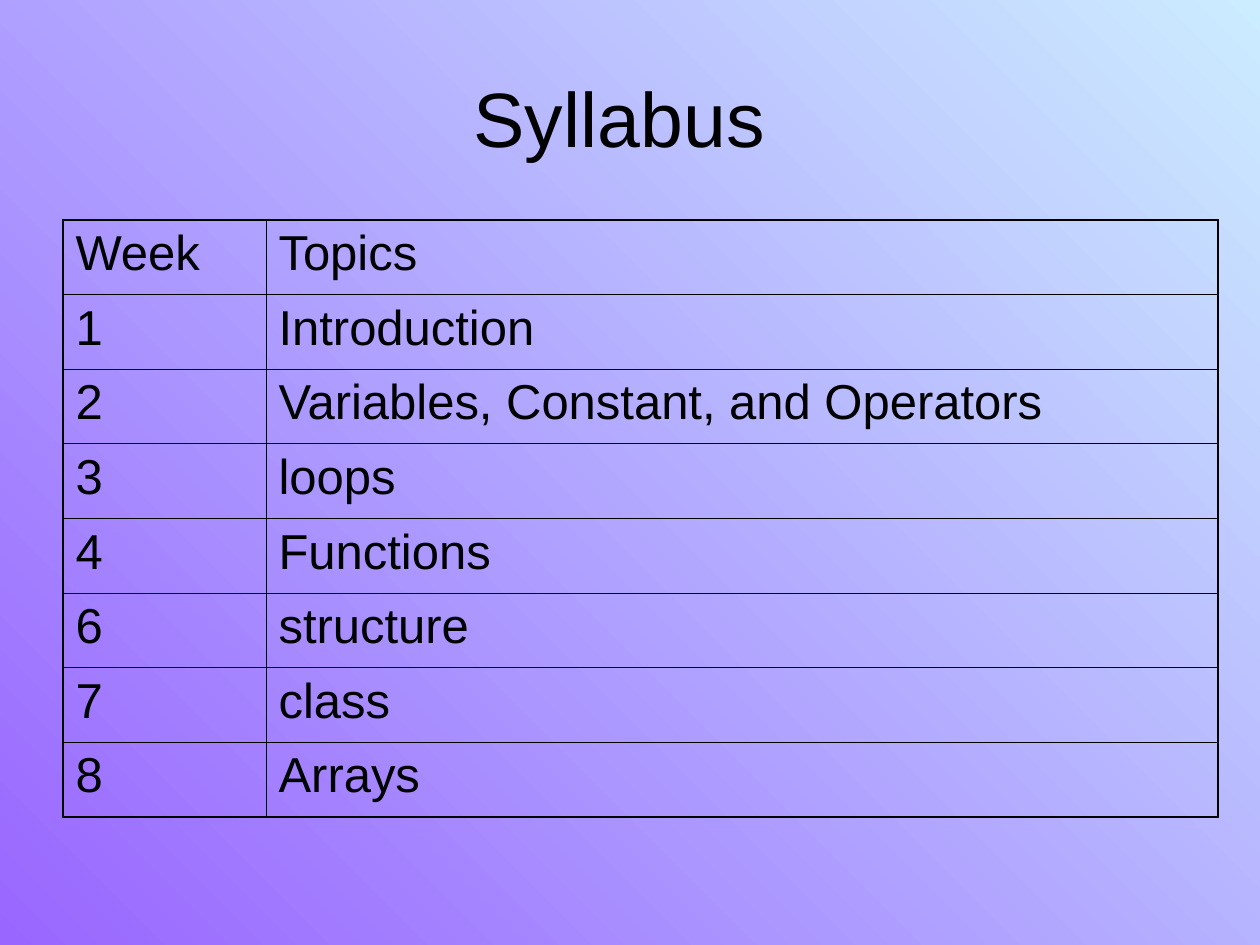
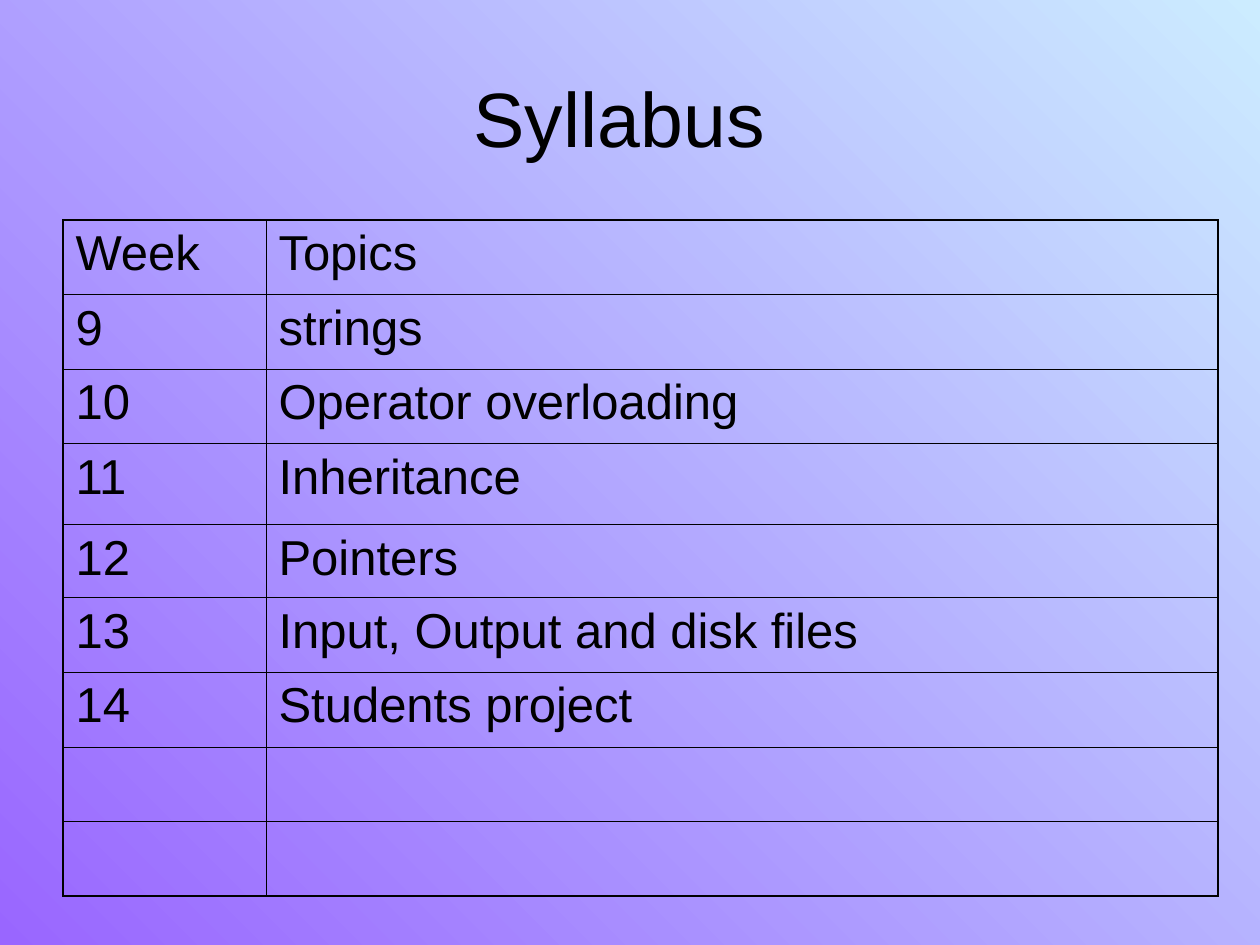
from lxml import etree
from pptx import Presentation
from pptx import util as u
from pptx.dml import color
from pptx.enum import text
from pptx.oxml import ns

TITLE = "Syllabus "
HEADER = ("Week", "Topics")
SYLLABUS = [
    [
        ("1", "Introduction"),
        ("2", "Variables, Constant, and Operators"),
        ("3", "loops"),
        ("4", "Functions"),
        ("6", "structure"),
        ("7", "class"),
        ("8", "Arrays"),
    ],
    [
        ("9", "strings"),
        ("10", "Operator overloading"),
        ("11", "Inheritance"),
        ("12", "Pointers"),
        ("13", "Input, Output and disk files"),
        ("14", "Students project"),
        ("", ""),
        ("", ""),
    ],
]
WEEK_HEIGHTS = {"11": 81, "12": 73}
ROW_HEIGHT = 597 / 8
COLUMN_WIDTHS = (203, 952)
TABLE_LEFT, TABLE_TOP = 63, 220
TITLE_BOX = (63, 38, 1134, 158)

FONT = "Arial"
INK = "000000"
GRADIENT = ("9966FF", "CCECFF")
INNER_LINE, OUTER_LINE = 0.45, 1.08


def px(length):
    return u.Emu(round(length * 914400 / 126))


def rgb(value):
    return color.RGBColor.from_string(value)


def add_span(para, words, size):
    span = para.add_run()
    span.text = words
    span.font.name = FONT
    span.font.size = u.Pt(size)
    span.font.bold = False
    span.font.color.rgb = rgb(INK)


def paint_background(master):
    fill = master.background.fill
    fill.gradient()
    fill.gradient_angle = 45
    for stop, value in zip(fill.gradient_stops, GRADIENT):
        stop.color.rgb = rgb(value)


def add_title(page):
    box = page.shapes.title
    box.left, box.top, box.width, box.height = map(px, TITLE_BOX)
    frame = box.text_frame
    frame.auto_size = text.MSO_AUTO_SIZE.NONE
    frame.vertical_anchor = text.MSO_ANCHOR.MIDDLE
    para = frame.paragraphs[0]
    para.alignment = text.PP_ALIGN.CENTER
    add_span(para, TITLE, 44)


def add_borders(cell, outer_sides):
    properties = cell._tc.get_or_add_tcPr()
    for side, is_outer in zip("LRTB", outer_sides):
        width = u.Pt(OUTER_LINE if is_outer else INNER_LINE)
        line = etree.SubElement(properties, ns.qn(f"a:ln{side}"), w=str(int(width)))
        solid = etree.SubElement(line, ns.qn("a:solidFill"))
        etree.SubElement(solid, ns.qn("a:srgbClr"), val=INK)


def add_syllabus_table(page, weeks):
    rows = [HEADER, *weeks]
    heights = [WEEK_HEIGHTS.get(week, ROW_HEIGHT) for week, _ in rows]
    table = page.shapes.add_table(
        len(rows), len(HEADER), px(TABLE_LEFT), px(TABLE_TOP),
        px(sum(COLUMN_WIDTHS)), px(sum(heights))).table
    table.first_row = table.horz_banding = False
    for column, width in zip(table.columns, COLUMN_WIDTHS):
        column.width = px(width)
    last_row, last_column = len(rows) - 1, len(HEADER) - 1
    for r, (row, height) in enumerate(zip(rows, heights)):
        table.rows[r].height = px(height)
        for c, words in enumerate(row):
            cell = table.cell(r, c)
            add_borders(cell, (c == 0, c == last_column, r == 0, r == last_row))
            cell.fill.background()
            if words:
                para = cell.text_frame.paragraphs[0]
                para.space_before = u.Pt(7)
                add_span(para, words, 28)


def main():
    deck = Presentation()
    deck.slide_width, deck.slide_height = px(1260), px(945)
    paint_background(deck.slide_master)
    for weeks in SYLLABUS:
        page = deck.slides.add_slide(deck.slide_layouts[5])
        add_title(page)
        add_syllabus_table(page, weeks)
    deck.save("out.pptx")


if __name__ == "__main__":
    main()
